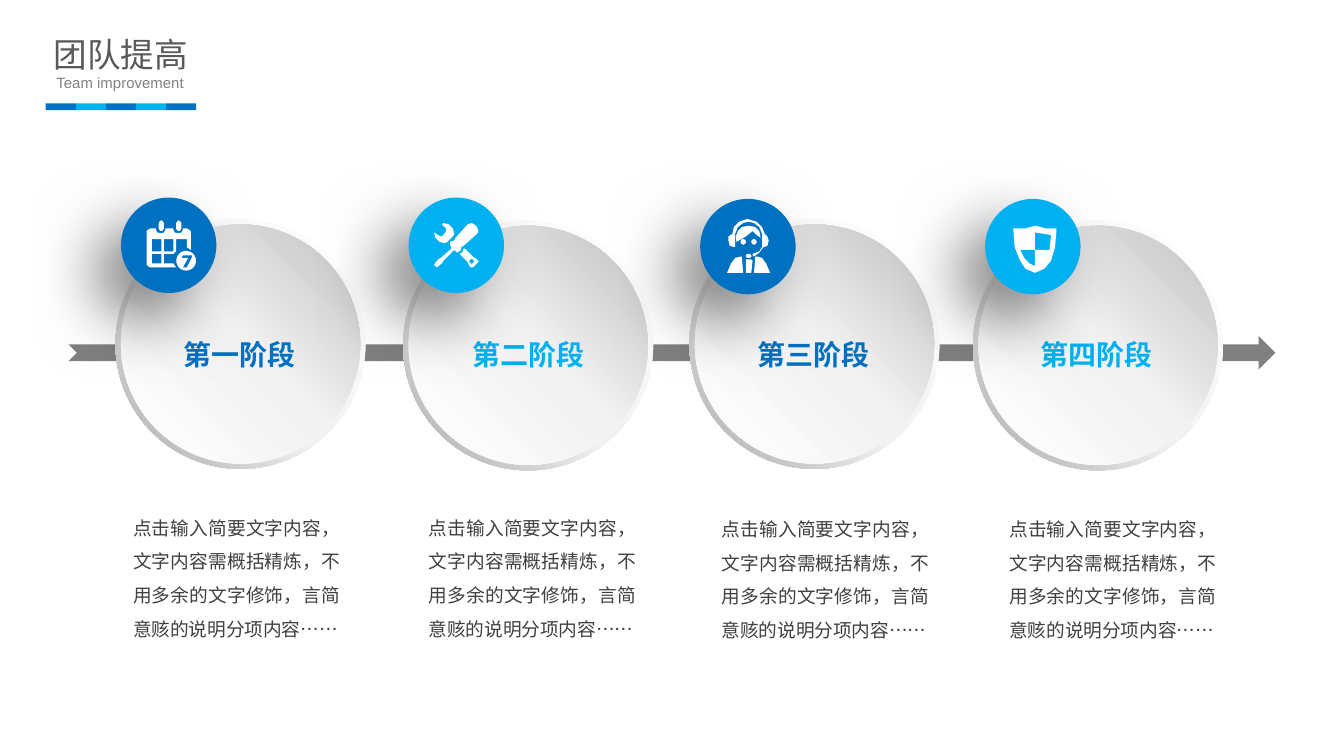
from copy import deepcopy
from math import cos, pi, sin

from lxml import etree
from pptx import Presentation, util as u
from pptx.dml.color import RGBColor
from pptx.enum import shapes, text
from pptx.oxml import ns

BLUE = RGBColor(0x00, 0x70, 0xC0)
SKY = RGBColor(0x00, 0xB0, 0xF0)
WHITE = RGBColor(0xFF, 0xFF, 0xFF)
PALE = RGBColor(0xF2, 0xF2, 0xF2)
SILVER = RGBColor(0xBF, 0xBF, 0xBF)
STEEL = RGBColor(0xA6, 0xA6, 0xA6)
GRAY = RGBColor(0x80, 0x80, 0x80)
TITLE_GRAY = RGBColor(0x59, 0x59, 0x59)
BODY_GRAY = RGBColor(0x40, 0x40, 0x40)

# Icon outlines in hundredths of an inch: a list holds corner points,
# a tuple holds a circle as (center x, center y, radius).
CALENDAR = [
    [(3, 6), (1, 7), (0, 8), (0, 33), (1, 34), (3, 35), (22, 35), (20, 32), (13, 32),
     (13, 25), (20, 25), (22, 23), (22, 14), (30, 14), (30, 20), (33, 22), (33, 8),
     (32, 7), (30, 6), (27, 6), (27, 7), (26, 9), (24, 9.5), (21, 9), (20, 7), (20, 6),
     (14, 6), (14, 7), (13, 9), (11, 9.5), (8, 9), (7, 7), (7, 6)],
    (29.5, 30, 7.3),
    [(27, 26), (34, 26), (34, 27), (30, 35), (27, 35), (31, 28), (26, 28)],
]
for x in (9, 22):
    CALENDAR.append([(x, 2), (x + 1, 0.5), (x + 2, 0), (x + 3, 0.5), (x + 4, 2),
                     (x + 4, 6), (x + 3, 7.5), (x + 2, 8), (x + 1, 7.5), (x, 6)])
for x, top, bottom in ((4, 14, 23), (13, 14, 23), (4, 25, 32)):
    CALENDAR.append([(x, top), (x + 7, top), (x + 7, bottom), (x, bottom)])

TOOLS = [
    [(22, 19), (21, 22), (19, 23), (25, 29), (27, 33), (29, 33), (33, 29), (33, 28),
     (29, 25), (23, 19)],
    (28, 28.5, 1.7),
    [(12, 12), (14, 10), (15, 8), (14, 4), (11, 1), (7, 0), (6, 1), (9, 4), (9, 6), (7, 9),
     (5, 10), (3, 9), (0, 7), (1, 11), (4, 14), (8, 15), (10, 14)],
    [(32, 3), (30, 1), (28, 0), (25, 1), (16, 11), (15, 13), (12, 14), (12, 16), (13, 19),
     (5, 26), (3, 27), (0, 31), (2, 33), (6, 30), (7, 28), (15, 20), (17, 22), (19, 21),
     (20, 20), (20, 18), (22, 17), (32, 8), (33, 6)],
]
HEADSET = [
    [(15, 0), (9, 2), (5, 6), (4, 11), (1, 13), (1, 16), (2, 20), (6, 21), (6, 11), (8, 6),
     (12, 3), (16, 2), (20, 3), (24, 6), (26, 11), (26, 21), (24, 24), (19, 26), (19, 27),
     (20, 28), (24, 25), (27, 21), (30, 20), (31, 16), (30, 13), (28, 11), (26, 6), (22, 2)],
    [(16, 5), (11, 6), (8, 9), (6.5, 13), (7, 17), (14, 13), (19, 9), (22, 12), (25, 14),
     (24, 9), (21, 6)],
    (12, 17, 2),
    (20, 17, 2),
    [(14, 27), (15, 26), (17, 26), (18, 27), (18, 28), (17, 29), (15, 29), (14, 28)],
    [(23, 28), (21, 28), (20, 40), (32, 40), (29, 33), (26, 29)],
    [(10, 28), (6, 29), (3, 33), (0, 40), (12, 40), (11, 28)],
    [(14, 30), (18, 30), (19, 31), (18, 40), (14, 40), (14, 31)],
]
SHIELD = [
    [(0, 2), (9, 2), (16, 0), (17, 0), (24, 2), (32, 2), (32, 4), (31, 16), (28, 26),
     (23, 32), (16, 35), (9, 32), (5, 26), (1, 16), (0, 4)],
    [(16, 18), (27, 18), (28, 7), (23, 6), (16, 5)],
    [(16, 30), (16, 18), (5, 18), (8, 24), (12, 28)],
]

# label, label left, color, ring, badge, description, icon outlines, icon (left/top pairs)
STAGES = [
    ("第一阶段", 1.26, BLUE, (0.86, 1.63), (0.9, 1.47), (0.99, 3.76), CALENDAR, (1.09, 1.64)),
    ("第二阶段", 3.41, SKY, (3, 1.64), (3.04, 1.47), (3.19, 3.76), TOOLS, (3.23, 1.66)),
    ("第三阶段", 5.53, BLUE, (5.13, 1.63), (5.21, 1.48), (5.37, 3.77), HEADSET, (5.41, 1.63)),
    ("第四阶段", 7.64, SKY, (7.24, 1.64), (7.33, 1.48), (7.51, 3.77), SHIELD, (7.54, 1.68)),
]
DESCRIPTION = "点击输入简要文字内容，文字内容需概括精炼，不用多余的文字修饰，言简意赅的说明分项内容……"

presentation = Presentation()
presentation.slide_width = u.Inches(10)
presentation.slide_height = u.Inches(10 * 9 / 16)
slide = presentation.slides.add_slide(presentation.slide_layouts[6])


def add_text(words, left, top, width, height, *, size, color, bold=False, wrap=False,
             margins=(0.1, 0.05), align=text.PP_ALIGN.CENTER, spacing=None):
    box = slide.shapes.add_textbox(*map(u.Inches, (left, top, width, height)))
    frame = box.text_frame
    frame.word_wrap = wrap
    frame.margin_left = frame.margin_right = u.Inches(margins[0])
    frame.margin_top = frame.margin_bottom = u.Inches(margins[1])
    paragraph = frame.paragraphs[0]
    paragraph.alignment = align
    paragraph.line_spacing = spacing
    run = paragraph.add_run()
    run.text = words
    run.font.name = "Arial"
    run.font.size = u.Pt(size)
    run.font.bold = bold
    run.font.color.rgb = color


def add_shape(kind, left, top, width, height, fill, angle=0):
    """Fill is one color, or a list of (position, color) stops run at a clockwise angle."""
    shape = slide.shapes.add_shape(kind, *map(u.Inches, (left, top, width, height)))
    shape.shadow.inherit = False
    shape.line.fill.background()
    if isinstance(fill, list):
        shape.fill.gradient()
        shape.fill.gradient_angle = 360 - angle
        stop_list = shape._element.spPr.find(".//" + ns.qn("a:gsLst"))
        stop_list.insert(1, deepcopy(stop_list[0]))
        for stop, (position, color) in zip(shape.fill.gradient_stops, fill):
            stop.position = position
            stop.color.rgb = color
    else:
        shape.fill.solid()
        shape.fill.fore_color.rgb = fill
    return shape


for stage in STAGES:
    add_text(DESCRIPTION, *stage[5], 1.54, 1.01, size=10, color=BODY_GRAY, wrap=True,
             margins=(0, 0), align=text.PP_ALIGN.JUSTIFY, spacing=1.5)

add_shape(shapes.MSO_SHAPE.NOTCHED_RIGHT_ARROW, 0.51, 2.5, 8.98, 0.25, GRAY)

for label, label_left, color, (left, top), badge_at, _, icon, icon_at in STAGES:
    ring = add_shape(shapes.MSO_SHAPE.DONUT, left, top, 1.86, 1.86,
                     [(0, WHITE), (0.55, PALE), (1, STEEL)], angle=135)
    ring.adjustments[0] = 0.049
    add_shape(shapes.MSO_SHAPE.OVAL, left + 0.04, top + 0.04, 1.78, 1.78,
              [(0, WHITE), (0.51, PALE), (1, SILVER)], angle=315)
    add_text(label, label_left, 2.46, 1.04, 0.35, size=15, color=color, bold=True)

    badge = add_shape(shapes.MSO_SHAPE.OVAL, *badge_at, 0.71, 0.71, color)
    effects = badge._element.spPr.find(ns.qn("a:effectLst"))
    shadow = etree.SubElement(effects, ns.qn("a:outerShdw"), blurRad=str(u.Pt(35)),
                              dist=str(u.Pt(20)), dir=str(135 * 60000), rotWithShape="0")
    shadow_color = etree.SubElement(shadow, ns.qn("a:srgbClr"), val="000000")
    etree.SubElement(shadow_color, ns.qn("a:alpha"), val="50000")

    # Thousandths of an inch keep the half steps of the outlines.
    builder = slide.shapes.build_freeform(*[10 * v for v in icon[0][0]],
                                          scale=u.Inches(1) / 1000)
    for outline in icon:
        if isinstance(outline, tuple):
            x, y, radius = outline
            outline = [(x + radius * cos(step * pi / 16), y + radius * sin(step * pi / 16))
                       for step in range(32)]
        points = [(10 * x, 10 * y) for x, y in outline]
        builder.move_to(*points[0])
        builder.add_line_segments(points[1:], close=True)
    symbol = builder.convert_to_shape()
    symbol.left, symbol.top = map(u.Inches, icon_at)
    symbol.shadow.inherit = False
    symbol.fill.solid()
    symbol.fill.fore_color.rgb = WHITE
    symbol.line.fill.background()

add_text("团队提高", 0.32, 0.21, 1.16, 0.38, size=18, color=TITLE_GRAY, margins=(0.07, 0.04))
add_text("Team improvement", -0.07, 0.5, 1.93, 0.24, size=8, color=GRAY, wrap=True)
bar_width = 1.12 / 5
for index in range(5):
    add_shape(shapes.MSO_SHAPE.RECTANGLE, 0.34 + index * bar_width, 0.77, bar_width, 0.05,
              SKY if index % 2 else BLUE)

presentation.save("out.pptx")
